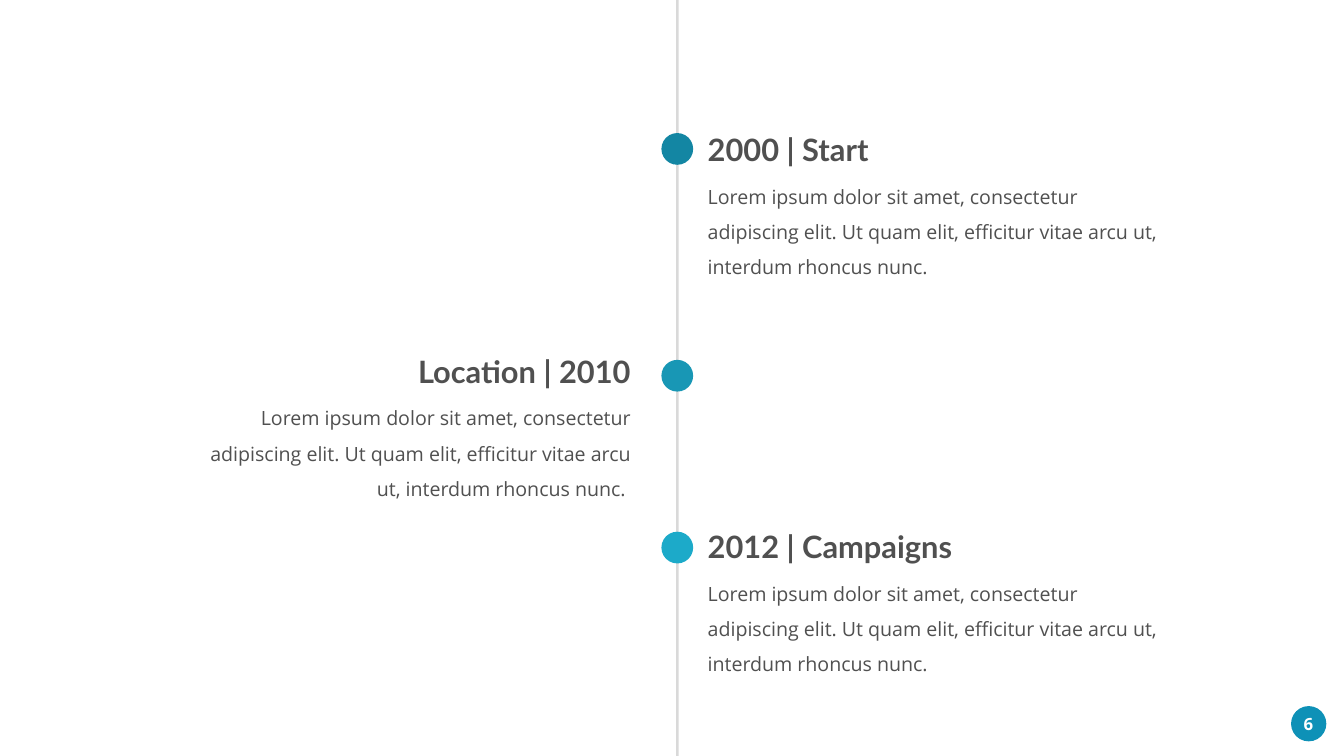
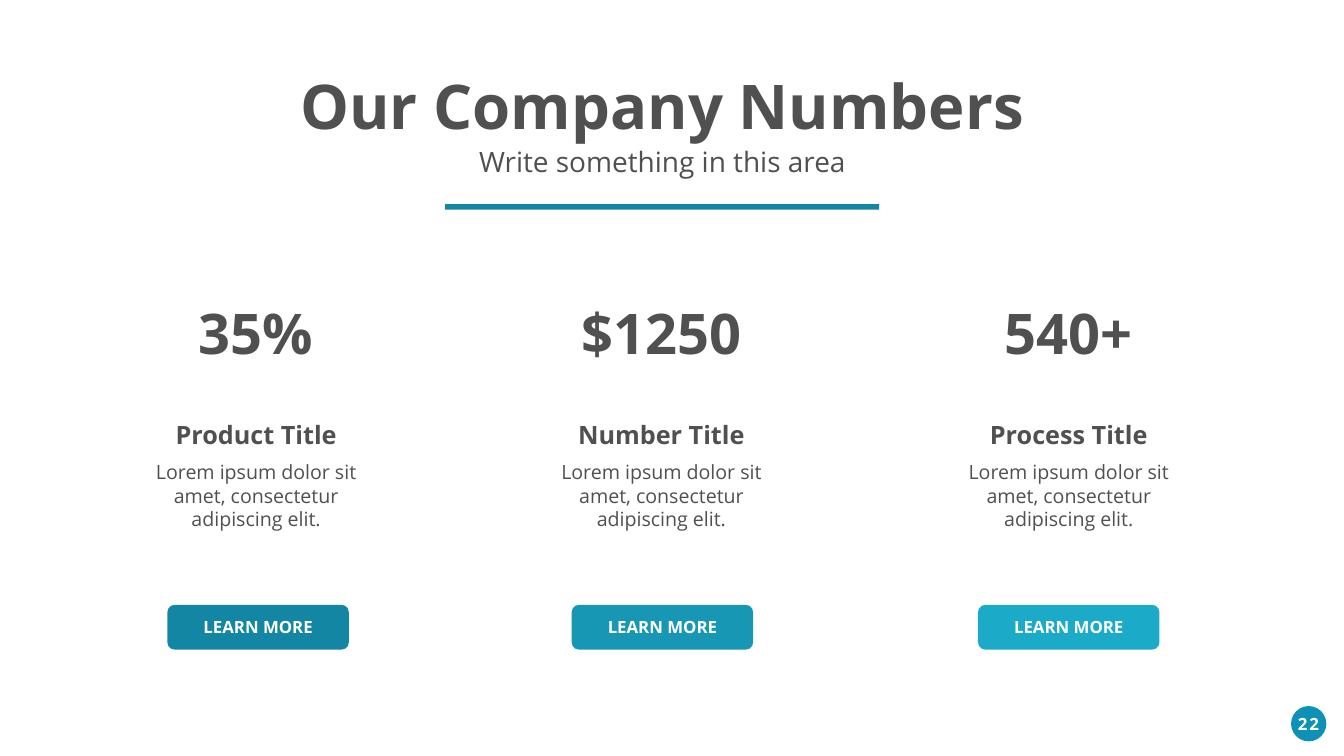
from dataclasses import dataclass

from pptx import Presentation, util as u
from pptx.dml.color import RGBColor
from pptx.enum import shapes, text

PX = 9144  # one px is a hundredth of an inch
WIDE, HIGH = 2666, 1500
HUES = {
    "ink": "505050",
    "white": "FFFFFF",
    "rail": "D9D9D9",
    "badge": "0E91B7",
    "deep": "1386A3",
    "mid": "1897B5",
    "light": "1CAAC9",
}
SANS, HEAD = "Open Sans", "Lato"
LEFT, MID, RIGHT = text.PP_ALIGN.LEFT, text.PP_ALIGN.CENTER, text.PP_ALIGN.RIGHT
RECT = shapes.MSO_SHAPE.RECTANGLE
ROUND = shapes.MSO_SHAPE.ROUNDED_RECTANGLE
OVAL = shapes.MSO_SHAPE.OVAL
LOREM = "Lorem ipsum dolor sit amet, consectetur adipiscing elit."
STORY = LOREM + " Ut quam elit, efficitur vitae arcu ut, interdum rhoncus nunc. "


@dataclass(frozen=True)
class Box:
    x: int
    y: int
    w: int
    h: int

    def emu(self) -> list[int]:
        return [side * PX for side in (self.x, self.y, self.w, self.h)]


@dataclass(frozen=True)
class Style:
    size: int
    bold: bool = False
    align: text.PP_ALIGN = MID
    hue: str = "ink"
    font: str = SANS
    wrap: bool = True
    lead: float | None = None
    space: int = 0  # letter spacing, hundredths of a point


@dataclass(frozen=True)
class Event:
    label: str
    hue: str
    dot: int
    top: int
    left: int
    wide: int
    align: text.PP_ALIGN = LEFT


@dataclass(frozen=True)
class Stat:
    value: str
    label: str
    hue: str
    mid: int
    wide: int
    button: int


EVENTS = [
    Event("2000 | Start", "deep", 264, 254, 1394, 942),
    Event("Location | 2010", "mid", 714, 694, 370, 891, RIGHT),
    Event("2012 | Campaigns", "light", 1055, 1042, 1394, 942),
]
STATS = [
    Stat("35%", "Product Title", "deep", 508, 438, 332),
    Stat("$1250", "Number Title", "mid", 1312, 526, 1134),
    Stat("540+", "Process Title", "light", 2120, 438, 1940),
]

PAGE = Style(24, True, hue="white", space=300)
TITLE = Style(88, True, wrap=False)
SUB = Style(40, wrap=False)
VALUE = Style(80, True)
LABEL = Style(36, True)
BODY = Style(28)
BUTTON = Style(24, True, hue="white", wrap=False)


def tint(hue: str) -> RGBColor:
    return RGBColor.from_string(HUES[hue])


def draw(host, kind: shapes.MSO_SHAPE, box: Box, hue: str) -> None:
    """Add a flat shape without outline to a slide or group."""
    item = host.shapes.add_shape(kind, *box.emu())
    item.shadow.inherit = False
    item.fill.solid()
    item.fill.fore_color.rgb = tint(hue)
    item.line.fill.background()


def write(host, words: str, box: Box, style: Style) -> None:
    frame = host.shapes.add_textbox(*box.emu()).text_frame
    frame.word_wrap = style.wrap
    frame.auto_size = text.MSO_AUTO_SIZE.SHAPE_TO_FIT_TEXT
    para = frame.paragraphs[0]
    para.alignment = style.align
    if style.lead:
        para.line_spacing = style.lead
    run = para.add_run()
    run.text = words
    font = run.font
    font.name, font.size, font.bold = style.font, u.Pt(style.size), style.bold
    font.color.rgb = tint(style.hue)
    if style.space:
        run._r.get_or_add_rPr().set("spc", str(style.space))


def start(deck, page: int):
    """Add a blank slide with its page badge."""
    slide = deck.slides.add_slide(deck.slide_layouts[6])
    draw(slide, OVAL, Box(2561, 1401, 70, 70), "badge")
    write(slide, str(page), Box(2556, 1411, 79, 50), PAGE)
    return slide


def event(slide, item: Event) -> None:
    draw(slide, OVAL, Box(1312, item.dot, 63, 63), item.hue)
    wide = 592
    left = item.left + (item.wide - wide if item.align == RIGHT else 0)
    write(slide, item.label, Box(left, item.top, wide, 84),
          Style(44, True, item.align, font=HEAD))
    write(slide, STORY, Box(item.left, item.top + 84, item.wide, 222),
          Style(28, align=item.align, lead=1.5))


def stat(slide, item: Stat) -> None:
    rows = [
        (item.value, 587, item.wide, 145, VALUE),
        (item.label, 828, 522, 71, LABEL),
        (LOREM, 908, 522, 151, BODY),
    ]
    for words, top, wide, high, style in rows:
        write(slide, words, Box(item.mid - wide // 2, top, wide, high), style)
    group = slide.shapes.add_group_shape()
    draw(group, ROUND, Box(item.button, 1200, 360, 89), item.hue)
    write(group, "LEARN MORE", Box(item.button + 61, 1219, 238, 50), BUTTON)


def history(deck) -> None:
    slide = start(deck, 6)
    draw(slide, RECT, Box(1341, 0, 5, HIGH), "rail")
    for item in EVENTS:
        event(slide, item)


def numbers(deck) -> None:
    slide = start(deck, 22)
    write(slide, "Our Company Numbers", Box(578, 130, 1471, 158), TITLE)
    write(slide, "Write something in this area", Box(936, 282, 756, 77), SUB)
    draw(slide, RECT, Box(883, 405, 861, 11), "deep")
    for item in STATS:
        stat(slide, item)


def main() -> None:
    deck = Presentation()
    deck.slide_width, deck.slide_height = WIDE * PX, HIGH * PX
    history(deck)
    numbers(deck)
    deck.save("out.pptx")


if __name__ == "__main__":
    main()
